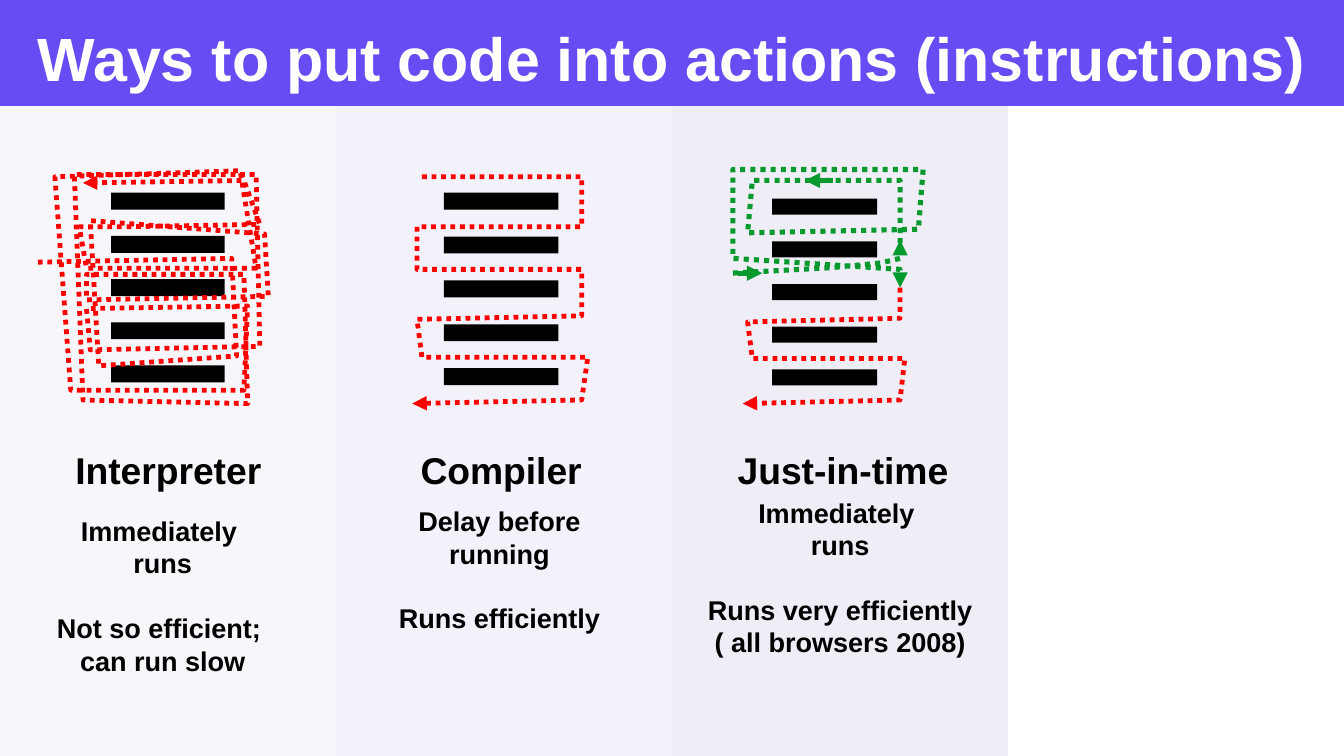
from pptx import Presentation
from pptx.dml.color import RGBColor
from pptx.enum.dml import MSO_LINE
from pptx.enum.shapes import MSO_CONNECTOR, MSO_SHAPE
from pptx.enum.text import PP_ALIGN
from pptx.oxml.ns import qn
from pptx.util import Pt
from lxml.etree import SubElement

COLORS = {"banner": "684CF3", "white": "FFFFFF", "black": "000000",
          "red": "FF0000", "green": "069A2E"}
SLIDE_W, SLIDE_H = 793.44, 446.4
BANNER_H, PANEL_W = 62.6, 198.4
BAR_COUNT, HEADING_TOP = 5, 260.6
BLANK_LINE = 19

TITLE = "Ways to put code into actions (instructions)"

# bars: left, top, width, height, pitch; notes: left, top, width, height;
# each group of note lines is set apart by one line's height
COLUMNS = [
    {"heading": "Interpreter", "heading_left": 37.4, "panel": "F7F7FB",
     "bars": (65.6, 113.8, 67, 10, 25.5),
     "notes_box": (25.2, 300.2, 141.8, 118.8),
     "notes": [["Immediately ", "runs"], ["Not so efficient; ", "can run slow"]]},
    {"heading": "Compiler", "heading_left": 241.2, "panel": "F3F2FA",
     "bars": (262.1, 113.8, 67.6, 10, 25.9),
     "notes_box": (218.2, 294.5, 153.4, 118.8),
     "notes": [["Delay before running"], ["Runs efficiently"]]},
    {"heading": "Just-in-time", "heading_left": 428.4, "panel": "EFEDF6",
     "bars": (455.8, 117.3, 62, 9.5, 25.2),
     "notes_box": (396.8, 289.4, 198.4, 141),
     "notes": [["Immediately ", "runs"],
               ["Runs very efficiently", "( all browsers 2008)"]]},
]

# Dotted execution paths, each ending in an arrowhead: color, width, points
ROUTES = [
    ("red", 2.83, [
        (22.3, 154.8), (136.8, 152.6), (139.7, 210.2), (58.3, 216),
        (53.3, 130.3), (156.2, 138.2), (158.4, 175), (51.1, 177.1),
        (51.1, 162), (144, 162), (146.2, 238.3), (49, 236.2),
        (43.9, 103), (151.2, 103), (153.4, 204.5), (53.3, 206.6),
        (51.1, 182.2), (146.2, 180.7), (144, 230.4), (41.8, 230.4),
        (32.4, 104.4), (141.8, 100.8), (151.2, 158.4), (51.1, 158.4),
        (46.8, 133.9), (74.9, 133.9), (153.4, 132.5), (144, 106.6),
        (49, 108)]),
    ("red", 2.83, [
        (249.1, 104.4), (343.4, 104.4), (343.4, 133.9), (246.2, 133.9),
        (246.2, 159.1), (343.4, 159.1), (343.4, 186.5), (246.2, 188.6),
        (249.1, 211), (347, 211), (343.4, 236.2), (243.4, 238.3)]),
    ("red", 2.83, [
        (531.4, 169.9), (531.4, 187.9), (441.4, 190.1), (444.2, 211.7),
        (534.2, 211.7), (531.4, 236.2), (438.5, 238.3)]),
    ("green", 3, [
        (432.7, 161.3), (491, 158.1), (520.1, 155.3), (531.4, 152.6),
        (531.4, 106.6), (444.2, 106.6), (441.4, 137.5), (542.2, 135.4),
        (545, 100.1), (432.7, 100.1), (432.7, 152.6), (531.4, 159.1),
        (531.4, 169.9)]),
]

# Solid green direction arrows: start x, start y, end x, end y
DIRECTIONS = [(491.8, 106.6, 475.2, 106.6), (435.6, 161.3, 450, 161.3),
              (531.4, 150.5, 531.4, 141.8)]

deck = Presentation()
deck.slide_width, deck.slide_height = Pt(SLIDE_W), Pt(SLIDE_H)
slide = deck.slides.add_slide(deck.slide_layouts[6])
shapes = slide.shapes


def rgb(name):
    return RGBColor.from_string(COLORS.get(name, name))


def add_block(left, top, width, height, color):
    block = shapes.add_shape(MSO_SHAPE.RECTANGLE,
                             Pt(left), Pt(top), Pt(width), Pt(height))
    block.shadow.inherit = False
    block.fill.solid()
    block.fill.fore_color.rgb = rgb(color)
    block.line.fill.background()


def style_arrow(arrow, color, width, dash=None):
    arrow.line.color.rgb = rgb(color)
    arrow.line.width = Pt(width)
    if dash is not None:
        arrow.line.dash_style = dash
    outline = arrow._element.spPr.find(qn("a:ln"))
    SubElement(outline, qn("a:tailEnd")).set("type", "triangle")


def add_route(color, width, points):
    corners = [(Pt(x), Pt(y)) for x, y in points]
    builder = shapes.build_freeform(*corners[0], scale=1.0)
    builder.add_line_segments(corners[1:], close=False)
    route = builder.convert_to_shape()
    route.shadow.inherit = False
    route.fill.background()
    style_arrow(route, color, width, MSO_LINE.ROUND_DOT)


def add_direction(*ends):
    arrow = shapes.add_connector(MSO_CONNECTOR.STRAIGHT, *map(Pt, ends))
    style_arrow(arrow, "green", 3)
    SubElement(arrow._element.spPr, qn("a:effectLst"))


def add_text(box, groups, size, color="black", align=PP_ALIGN.CENTER):
    frame = shapes.add_textbox(*map(Pt, box)).text_frame
    frame.word_wrap = True
    frame.text = "\n".join(line for group in groups for line in group)
    for paragraph in frame.paragraphs:
        paragraph.alignment = align
        font = paragraph.runs[0].font
        font.name, font.size, font.bold = "Arial", Pt(size), True
        font.color.rgb = rgb(color)
    first = 0
    for group in groups[:-1]:
        first += len(group)
        frame.paragraphs[first].space_before = Pt(BLANK_LINE)


# Column panels
for index, column in enumerate(COLUMNS):
    add_block(index * PANEL_W, BANNER_H, PANEL_W, SLIDE_H - BANNER_H,
              column["panel"])

# Code lines
for column in COLUMNS:
    left, top, width, height, pitch = column["bars"]
    for row in range(BAR_COUNT):
        add_block(left, top + row * pitch, width, height, "black")

# Execution paths
for color, width, points in ROUTES:
    add_route(color, width, points)
for ends in DIRECTIONS:
    add_direction(*ends)

# Headings and notes
for column in COLUMNS:
    add_text((column["heading_left"], HEADING_TOP, 142, 31.7),
             [[column["heading"]]], 22, align=PP_ALIGN.LEFT)
    add_text(column["notes_box"], column["notes"], 16)

# Title banner
add_block(0, 0, SLIDE_W, BANNER_H, "banner")
add_text((0, 8.6, SLIDE_W, 54), [[TITLE]], 36, "white")

deck.save("out.pptx")
